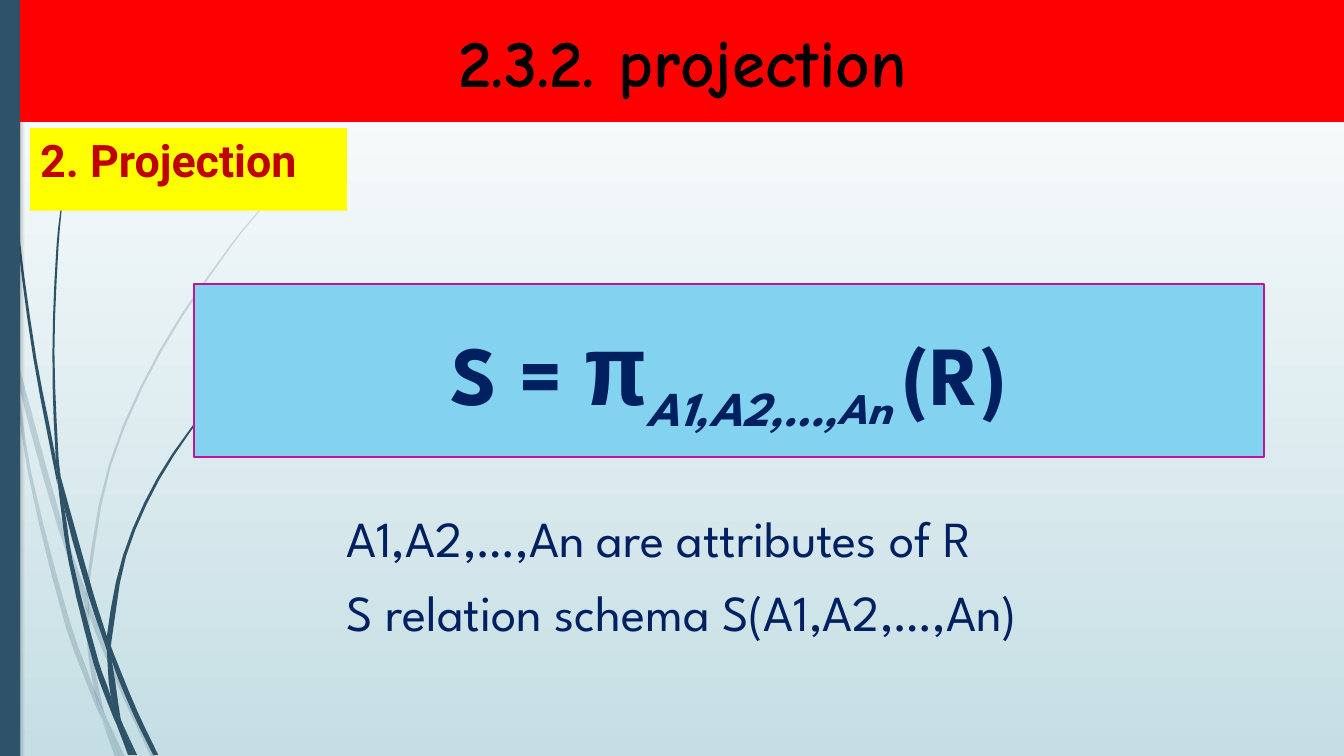
from dataclasses import dataclass
from math import dist

from lxml.etree import SubElement
from pptx import Presentation
from pptx.dml.color import RGBColor
from pptx.enum.shapes import MSO_SHAPE
from pptx.enum.text import MSO_ANCHOR, MSO_AUTO_SIZE, PP_ALIGN
from pptx.oxml.ns import qn
from pptx.util import Inches, Pt

COLORS = {
    "slate": "2E5369", "sky": "83D2F0", "magenta": "BF1698", "navy": "002060",
    "yellow": "FFFF00", "crimson": "C00000", "red": "FF0000", "black": "000000",
    "white": "FFFFFF", "mist": "C5DEE4",
}
BODY_FONT = "League Spartan"
Point = tuple[float, float]


@dataclass
class Blade:
    left: list[Point]
    right: list[Point]


@dataclass
class Span:
    text: str
    size: int
    font: str = BODY_FONT
    subscript: bool = False


PALE_BLADES = [
    Blade([(0, 2.99), (0.1, 3.44), (0.11, 3.5)], [(0, 2.82), (0.08, 3.22), (0.11, 3.5)]),
    Blade([(0.14, 3.45), (0.17, 3.76), (0.57, 5.22), (0.84, 5.99)], [(0.14, 3.45), (0.62, 5.2), (0.85, 5.86)]),
    Blade([(0.88, 5.96), (0.88, 6.1), (1.23, 6.94), (1.5, 7.51)],
          [(0.88, 5.96), (0.92, 6.07), (1.27, 6.91), (1.55, 7.51)]),
    Blade([(1.05, 7.11), (1.19, 7.51)], [(1.05, 7.11), (1.24, 7.51)]),
    Blade([(0.11, 3.5), (0.28, 4.7), (0.65, 6.21), (0.92, 6.93), (1.01, 7.14)],
          [(0.11, 3.5), (0.17, 3.76), (0.31, 4.69), (0.7, 6.19), (0.93, 6.83), (0.99, 7.07), (1.01, 7.14)]),
    Blade([(0.84, 5.99), (0.87, 6.46), (0.93, 6.83), (0.96, 6.92), (1.05, 7.11)],
          [(0.84, 5.99), (0.88, 6.08), (0.91, 6.46), (1.03, 7.06), (1.05, 7.11)]),
    Blade([(3.12, 1.53), (2.68, 1.97), (2.28, 2.44), (1.58, 3.48), (1.08, 4.61), (0.85, 5.84), (0.88, 5.96)],
          [(3.12, 1.53), (2.68, 1.98), (2.29, 2.45), (1.6, 3.49), (1.1, 4.62), (0.88, 5.84), (0.88, 5.96)]),
    Blade([(1.01, 7.14), (1.14, 7.51)], [(1.01, 7.14), (1.19, 7.51)]),
    Blade([(0.85, 5.86), (0.84, 5.99), (0.88, 6.1)], [(0.85, 5.86), (0.88, 5.96), (0.88, 6.1)]),
    Blade([(0.93, 6.83), (0.99, 7.07), (1.19, 7.51)], [(0.93, 6.83), (1.05, 7.11), (1.19, 7.51)]),
]
DARK_BLADES = [
    Blade([(0.03, 0), (0.07, 1.1), (0.17, 2.33), (0.33, 3.55), (0.57, 4.81)],
          [(0.04, 0), (0.08, 1.09), (0.19, 2.32), (0.36, 3.55), (0.55, 4.53), (0.57, 4.81)]),
    Blade([(0.6, 4.72), (0.64, 5.05), (0.88, 5.92), (1.06, 6.45)], [(0.6, 4.72), (0.93, 5.9), (1.06, 6.31)]),
    Blade([(1.1, 6.41), (1.11, 6.56), (1.32, 7.08), (1.52, 7.49)],
          [(1.1, 6.41), (1.13, 6.49), (1.36, 7.05), (1.57, 7.49)]),
    Blade([(0.57, 4.77), (0.68, 5.57), (0.93, 6.59), (1.11, 7.08), (1.17, 7.22)],
          [(0.57, 4.77), (0.64, 5.05), (0.72, 5.56), (0.98, 6.57), (1.1, 6.91), (1.17, 7.22)]),
    Blade([(0.7, 1.41), (0.62, 1.93), (0.56, 2.45), (0.52, 3.49), (0.55, 4.49), (0.6, 4.72)],
          [(0.7, 1.41), (0.63, 1.93), (0.58, 2.45), (0.54, 3.49), (0.58, 4.53), (0.6, 4.72)]),
    Blade([(1.22, 7.19), (1.33, 7.49)], [(1.22, 7.19), (1.36, 7.49)]),
    Blade([(0.55, 4.49), (0.57, 4.77), (0.64, 5.05)], [(0.55, 4.49), (0.6, 4.72), (0.64, 5.05)]),
    Blade([(2.6, 3.44), (2.31, 3.73), (2.04, 4.05), (1.56, 4.74), (1.22, 5.51), (1.06, 6.31), (1.1, 6.41)],
          [(2.61, 3.44), (2.31, 3.74), (2.05, 4.06), (1.58, 4.76), (1.25, 5.52), (1.11, 6.33), (1.1, 6.41)]),
    Blade([(1.17, 7.22), (1.27, 7.49)], [(1.17, 7.22), (1.31, 7.49)]),
    Blade([(1.06, 6.45), (1.1, 6.91), (1.22, 7.19)], [(1.06, 6.45), (1.11, 6.56), (1.2, 7.15), (1.22, 7.19)]),
    Blade([(1.06, 6.31), (1.06, 6.45), (1.11, 6.56)], [(1.06, 6.31), (1.1, 6.41), (1.11, 6.56)]),
    Blade([(1.1, 6.91), (1.17, 7.22), (1.3, 7.49)], [(1.1, 6.91), (1.22, 7.19), (1.33, 7.49)]),
]
FORMULA = [
    Span("S = ", 60),
    Span("π", 72, "Courier New"),
    Span("A1,A2,…,", 60, subscript=True),
    Span("An ", 54, subscript=True),
    Span("(R)", 60),
]
NOTES = ["A1,A2,…,An are attributes of R", "S relation schema S(A1,A2,…,An)"]


def rgb(name: str) -> RGBColor:
    return RGBColor.from_string(COLORS[name])


def smooth(points: list[Point], steps: int = 3) -> list[Point]:
    padded = [points[0], *points, points[-1]]
    curve = []
    for before, start, end, after in zip(padded, padded[1:], padded[2:], padded[3:]):
        length = dist(start, end)
        enter, leave = length / (dist(before, start) + length), length / (length + dist(end, after))
        for t in (step / steps for step in range(steps)):
            blend = t * t * (3 - 2 * t)
            curve.append(tuple(
                b + (c - b) * blend + (c - a) * enter * t * (1 - t)**2 - (d - b) * leave * t * t * (1 - t)
                for a, b, c, d in zip(before, start, end, after)
            ))
    return curve + [points[-1]]


def paint(shape, color: str) -> None:
    shape.shadow.inherit = False
    shape.fill.solid()
    shape.fill.fore_color.rgb = rgb(color)
    shape.line.fill.background()


def draw_blade(slide, blade: Blade, opacity: int) -> None:
    outline = [(x * 1000, y * 1000) for x, y in smooth(blade.left) + smooth(blade.right)[::-1]]
    builder = slide.shapes.build_freeform(*outline[0], scale=Inches(1) / 1000)
    builder.add_line_segments(outline[1:], close=True)
    shape = builder.convert_to_shape()
    paint(shape, "slate")
    color = next(shape.element.spPr.iter(qn("a:srgbClr")))
    SubElement(color, qn("a:alpha"), val=str(opacity * 1000))


def add_box(slide, left: float, top: float, width: float, height: float, color: str):
    shape = slide.shapes.add_shape(
        MSO_SHAPE.RECTANGLE, Inches(left), Inches(top), Inches(width), Inches(height))
    paint(shape, color)
    shape.text_frame.word_wrap = True
    return shape


def add_sidebar(slide) -> None:
    effects = add_box(slide, 0, 0, 0.2, 7.5, "slate").element.spPr.find(qn("a:effectLst"))
    shadow = SubElement(effects, qn("a:outerShdw"), blurRad=str(Pt(3)), dist=str(Pt(2)), dir="5400000")
    color = SubElement(shadow, qn("a:srgbClr"), val=COLORS["black"])
    SubElement(color, qn("a:alpha"), val="25000")


def format_paragraph(paragraph, color: str, align: PP_ALIGN = PP_ALIGN.LEFT, indent: float = 0) -> None:
    paragraph.alignment = align
    paragraph.space_before = Pt(10)
    paragraph.font.color.rgb = rgb(color)
    paragraph._p.get_or_add_pPr().set("marL", str(Inches(indent)))


def add_formula(slide) -> None:
    box = add_box(slide, 1.92, 2.82, 10.62, 1.71, "sky")
    box.line.color.rgb, box.line.width = rgb("magenta"), Pt(1.5)
    paragraph = box.text_frame.paragraphs[0]
    format_paragraph(paragraph, "navy", PP_ALIGN.CENTER)
    for span in FORMULA:
        run = paragraph.add_run()
        run.text = span.text
        run.font.name, run.font.size = span.font, Pt(span.size)
        run.font.bold, run.font.italic = True, span.subscript
        run.font.color.rgb = rgb("navy")
        if span.subscript:
            run._r.get_or_add_rPr().set("baseline", "-25000")


def add_heading(slide) -> None:
    frame = add_box(slide, 0.3, 1.27, 3.14, 0.82, "yellow").text_frame
    frame.text, frame.vertical_anchor = "2. Projection", MSO_ANCHOR.TOP
    paragraph = frame.paragraphs[0]
    format_paragraph(paragraph, "crimson")
    paragraph.font.name, paragraph.font.size, paragraph.font.bold = "Roboto", Pt(32), True


def add_notes(slide) -> None:
    frame = slide.shapes.add_textbox(Inches(2.34), Inches(4.98), Inches(10.62), Inches(1.76)).text_frame
    frame.text, frame.word_wrap = "\n".join(NOTES), True
    for paragraph in frame.paragraphs:
        format_paragraph(paragraph, "navy", indent=1)
        paragraph.font.name, paragraph.font.size = BODY_FONT, Pt(36)


def format_title(slide) -> None:
    title = slide.shapes.title
    title.left, title.top, title.width, title.height = Inches(0.2), 0, Inches(13.14), Inches(1.21)
    title.fill.solid()
    title.fill.fore_color.rgb = rgb("red")
    frame = title.text_frame
    frame.text, frame.auto_size, frame.vertical_anchor = "2.3.2. projection", MSO_AUTO_SIZE.NONE, MSO_ANCHOR.MIDDLE
    paragraph = frame.paragraphs[0]
    paragraph.alignment = PP_ALIGN.CENTER
    paragraph.font.name, paragraph.font.size, paragraph.font.bold = "Comic Neue", Pt(48), True
    paragraph.font.color.rgb = rgb("black")
    title.element.getparent().append(title.element)


def main() -> None:
    presentation = Presentation()
    presentation.slide_width, presentation.slide_height = Inches(13.33), Inches(7.5)
    slide = presentation.slides.add_slide(presentation.slide_layouts[5])
    background = slide.background.fill
    background.gradient()
    background.gradient_angle = 270
    for stop, color in zip(background.gradient_stops, ("white", "mist")):
        stop.color.rgb = rgb(color)
    for blades, opacity in ((PALE_BLADES, 20), (DARK_BLADES, 100)):
        for blade in blades:
            draw_blade(slide, blade, opacity)
    for add_part in (add_sidebar, add_formula, add_heading, add_notes, format_title):
        add_part(slide)
    presentation.save("out.pptx")


if __name__ == "__main__":
    main()
